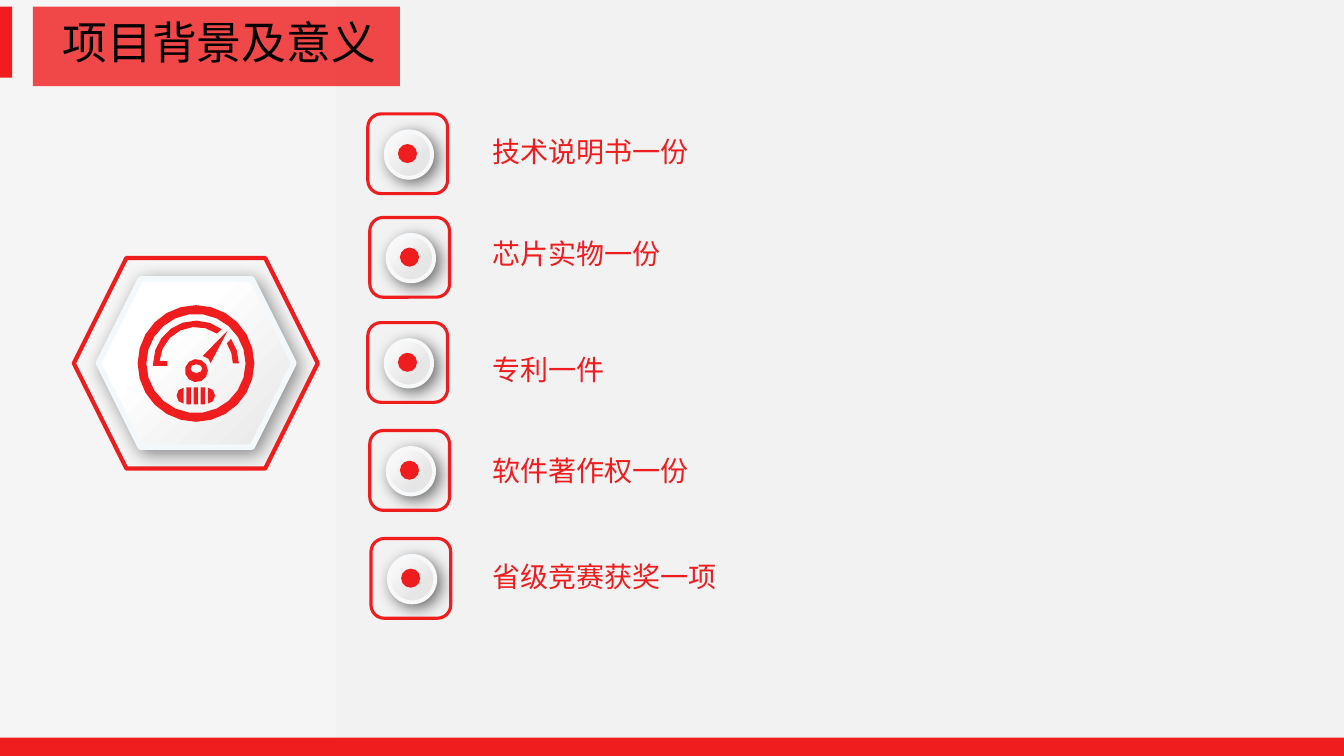
"""Build the slide on project background and expected results."""
import math
from dataclasses import dataclass
from typing import Any

import lxml.etree
import pptx
import pptx.dml.color
import pptx.enum.shapes
import pptx.enum.text
import pptx.oxml.ns
import pptx.util

Cm = pptx.util.Cm
Pt = pptx.util.Pt
Kind = pptx.enum.shapes.MSO_SHAPE
Point = tuple[float, float]
HUES = {"red": "EF1D1D", "white": "FFFFFF", "grey": "E7E6E6", "black": "000000",
        "pale": "F5F5F5", "back": "F2F2F2", "rim": "F7F8F9", "edge": "F3F8FB"}
FONT = "Noto Sans CJK SC"


@dataclass
class Box:
    left: float
    top: float
    width: float
    height: float


@dataclass
class Step:
    text: str
    left: float
    top: float
    gap: float


@dataclass
class Shade:
    alpha: int
    blur: float
    dist: float


STEPS = [
    Step("技术说明书一份", 9.27, 2.87, 0),
    Step("芯片实物一份", 9.32, 5.48, 49),
    Step("专利一件", 9.27, 8.13, 59),
    Step("软件著作权一份", 9.32, 10.85, 48),
    Step("省级竞赛获奖一项", 9.35, 13.57, 52),
]


def hue(name: str) -> pptx.dml.color.RGBColor:
    return pptx.dml.color.RGBColor.from_string(HUES[name])


def child(node: Any, tag: str, **attrs: str) -> Any:
    return lxml.etree.SubElement(node, pptx.oxml.ns.qn(tag), attrs)


def blend(fill: Any, names: tuple[str, str], ends: tuple[float, float], angle: int) -> None:
    fill.gradient()
    fill.gradient_angle = angle
    for stop, name, end in zip(fill.gradient_stops, names, ends):
        stop.color.rgb = hue(name)
        stop.position = end


def draw(tree: Any, kind: Any, box: Box, fill: str = "", line: str = "", width: float = 0) -> Any:
    shape = tree.add_shape(kind, Cm(box.left), Cm(box.top), Cm(box.width), Cm(box.height))
    paint(shape, fill)
    if line:
        shape.line.color.rgb = hue(line)
        shape.line.width = Pt(width)
    return shape


def paint(shape: Any, fill: str) -> None:
    shape.shadow.inherit = False
    shape.line.fill.background()
    if fill:
        shape.fill.solid()
        shape.fill.fore_color.rgb = hue(fill)
    else:
        shape.fill.background()


def cast(shape: Any, shade: Shade) -> None:
    effects = shape.element.spPr.find(pptx.oxml.ns.qn("a:effectLst"))
    outer = child(effects, "a:outerShdw", blurRad=str(Pt(shade.blur)), dist=str(Pt(shade.dist)),
                  dir="2700000", algn="tl", rotWithShape="0")
    tint = child(outer, "a:srgbClr", val=HUES["black"])
    child(tint, "a:alpha", val=str(shade.alpha * 1000))


def arc(wide: float, high: float, start: float, end: float, x: float = 0, y: float = 0) -> list[Point]:
    count = max(2, round(abs(end - start) * math.sqrt(wide) / 18))
    turns = [math.radians(start + (end - start) * i / count) for i in range(count + 1)]
    return [(x + wide * math.cos(t), y - high * math.sin(t)) for t in turns]


def ring(wide: float, high: float, x: float = 0, y: float = 0) -> list[Point]:
    return arc(wide, high, 0, 360, x, y)[:-1]


def gauge(tree: Any, x: float, y: float) -> None:
    foot = [(-0.72, -0.06), (-0.72, 0.06), (-1.08, 0.06)]
    loops = [
        ring(1.47, 1.47),
        ring(1.25, 1.25),
        arc(1.08, 1.08, 180, 53) + arc(0.92, 0.92, 55, 176) + foot,
        arc(1.08, 1.08, 35, 0) + arc(0.93, 0.93, 0, 33),
        [(0.17, -0.19), (0.8, -0.83), (0.37, -0.01), (0.31, -0.12)],
        ring(0.29, 0.29, 0.01, 0.18),
        ring(0.15, 0.11, 0.01, 0.13),
        arc(0.18, 0.2, 90, 270, -0.31, 0.81),
        arc(0.18, 0.2, 90, -90, 0.3, 0.81),
    ]
    for i in range(3):
        left = -0.24 + 0.18 * i
        loops.append([(left, 0.6), (left + 0.11, 0.6), (left + 0.11, 1.03), (left, 1.03)])
    paths = [[(Cm(x + a), Cm(y + b)) for a, b in loop] for loop in loops]
    pen = tree.build_freeform(*paths[0][0])
    pen.add_line_segments(paths[0][1:], close=True)
    for path in paths[1:]:
        pen.move_to(*path[0])
        pen.add_line_segments(path[1:], close=True)
    paint(pen.convert_to_shape(), "red")


def badge(tree: Any) -> None:
    group = tree.add_group_shape().shapes
    plate = draw(group, Kind.HEXAGON, Box(2.48, 7.03, 4.93, 4.24), "", "edge", 4)
    blend(plate.fill, ("white", "grey"), (0.34, 1), 315)
    cast(plate, Shade(43, 13, 4))
    draw(group, Kind.HEXAGON, Box(1.86, 6.5, 6.15, 5.31), "", "red", 3)
    gauge(group, 4.94, 9.16)


def button(tree: Any, step: Step) -> None:
    knob = draw(tree, Kind.OVAL, Box(step.left + 0.45, step.top + 0.44, 1.17, 1.17), "", "rim", 2.75)
    blend(knob.fill, ("white", "grey"), (0, 0.7), 315)
    cast(knob, Shade(54, 11, 4))
    draw(tree, Kind.ROUNDED_RECTANGLE, Box(step.left, step.top, 2.01, 2.01), "", "red", 2.25)
    draw(tree, Kind.OVAL, Box(step.left + 0.76, step.top + 0.76, 0.48, 0.48), "red")


def place(holder: Any, box: Box) -> Any:
    holder.left, holder.top = Cm(box.left), Cm(box.top)
    holder.width, holder.height = Cm(box.width), Cm(box.height)
    frame = holder.text_frame
    frame.auto_size = pptx.enum.text.MSO_AUTO_SIZE.NONE
    frame.vertical_anchor = pptx.enum.text.MSO_ANCHOR.TOP
    return frame


def style(para: Any, size: float, name: str, gap: float = 0) -> None:
    para.alignment = pptx.enum.text.PP_ALIGN.LEFT
    para.line_spacing = 1.0
    para.space_before, para.space_after = Pt(gap), Pt(0)
    props = para._p.get_or_add_pPr()
    props.set("marL", "0")
    props.set("indent", "0")
    child(props, "a:buNone")
    for run in para.runs:
        run.font.size = Pt(size)
        run.font.name = FONT
        run.font.color.rgb = hue(name)
        child(run.font._element, "a:ea", typeface=FONT)


def main() -> None:
    deck = pptx.Presentation()
    deck.slide_width, deck.slide_height = Cm(33.87), Cm(19.05)
    slide = deck.slides.add_slide(deck.slide_layouts[1])
    tree = slide.shapes
    blend(slide.background.fill, ("pale", "back"), (0, 0.5), 0)

    banner = draw(tree, Kind.RECTANGLE, Box(0.83, 0.17, 9.25, 2), "red")
    tint = next(banner.element.spPr.iter(pptx.oxml.ns.qn("a:srgbClr")))
    child(tint, "a:alpha", val="80000")
    draw(tree, Kind.RECTANGLE, Box(-0.38, 18.59, 34.25, 0.46), "red")
    draw(tree, Kind.RECTANGLE, Box(-0.3, 0.17, 0.61, 1.79), "red")
    badge(tree)
    for step in STEPS:
        button(tree, step)

    title = tree.title
    head = place(title, Box(1.32, 0.24, 8.48, 1.63))
    head.text = "项目背景及意义"
    style(head.paragraphs[0], 32, "black")
    title.element.getparent().append(title.element)

    body = place(slide.placeholders[1], Box(12.16, 3.25, 6.2, 11.85))
    body.text = "\n".join(step.text for step in STEPS)
    for para, step in zip(body.paragraphs, STEPS):
        style(para, 20, "red", step.gap)
    deck.save("out.pptx")


if __name__ == "__main__":
    main()
